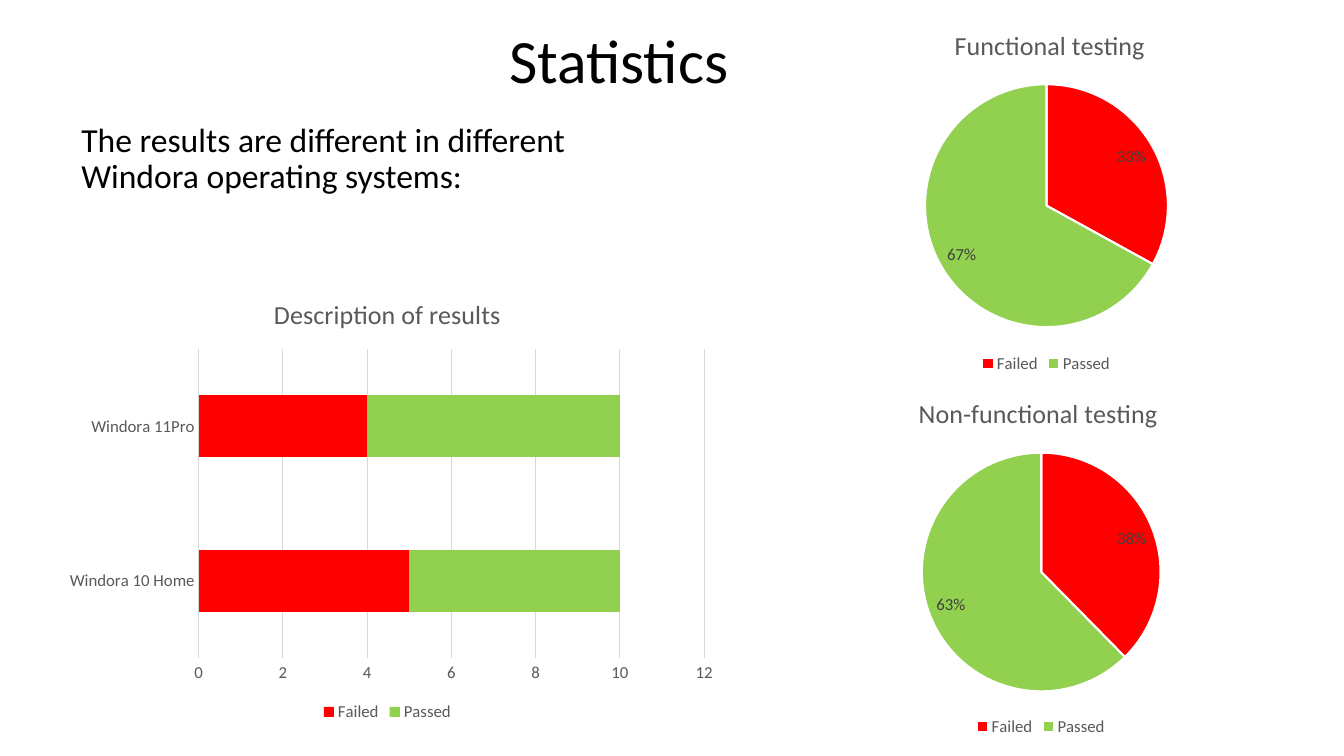
from lxml import etree
from pptx import Presentation
from pptx.chart.data import CategoryChartData
from pptx.dml.color import RGBColor
from pptx.enum.chart import XL_CHART_TYPE, XL_LABEL_POSITION, XL_LEGEND_POSITION, XL_TICK_MARK
from pptx.enum.text import MSO_ANCHOR, PP_ALIGN
from pptx.oxml.ns import qn
from pptx.util import Pt

BAR_STACKED, PIE = XL_CHART_TYPE.BAR_STACKED, XL_CHART_TYPE.PIE
LEGEND_BOTTOM = XL_LEGEND_POSITION.BOTTOM
INSIDE_END = XL_LABEL_POSITION.INSIDE_END
NO_TICK = XL_TICK_MARK.NONE
MIDDLE, BOTTOM = MSO_ANCHOR.MIDDLE, MSO_ANCHOR.BOTTOM
CENTER, LEFT = PP_ALIGN.CENTER, PP_ALIGN.LEFT

FONT = "Calibri"
BLACK, GREY, DARK_GREY, LIGHT_GREY, WHITE = "000000", "595959", "404040", "D9D9D9", "FFFFFF"
RESULT_COLORS = ["FF0000", "92D050"]
RESULTS = ["Failed", "Passed"]

# Boxes are left, top, width, height in points; layouts are shares of the chart
TEXTS = [
    ("Statistics ", (33, -26, 828, 142.5), 44, MIDDLE, CENTER, 7.2),
    ("The results are different in different Windora operating systems:",
     (51, 78.5, 452, 65), 24, BOTTOM, LEFT, 18),
]
SYSTEMS = ["Windora 10 Home", "Windora 11Pro"]
SYSTEM_RESULTS = {"Failed": [5, 4], "Passed": [5, 6]}
BAR_TITLE, BAR_BOX = "Description of results", (36, 198, 481.5, 320.5)
BAR_LAYOUT = {"x": 0.22, "y": 0.16, "w": 0.75, "h": 0.69}
PIES = [
    ("Functional testing", "Series 1", [33, 67], (544.5, 11, 406, 259),
     {"x": 0.33, "y": 0.02}, {"x": 0.28, "y": 0.19, "w": 0.44, "h": 0.67}),
    ("Non-functional testing ", "Non-functional testing ", [38, 63],
     (537, 270, 413.5, 259), None, None),
]


def color(hex_string):
    return RGBColor.from_string(hex_string)


def style_font(font, size, hex_string):
    font.name = FONT
    font.size = Pt(size)
    font.bold = False
    font.color.rgb = color(hex_string)


def style_line(line, hex_string, width):
    line.color.rgb = color(hex_string)
    line.width = Pt(width)


def fill_solid(fill, hex_string):
    fill.solid()
    fill.fore_color.rgb = color(hex_string)


def place(element, index, shares):
    """Give a chart part a manual layout as its child at the given index."""
    for old in element.findall(qn("c:layout")):
        element.remove(old)
    layout = etree.Element(qn("c:layout"))
    manual = etree.SubElement(layout, qn("c:manualLayout"))
    settings = {"xMode": "edge", "yMode": "edge", **shares}
    if "w" in shares:
        settings = {"layoutTarget": "inner", **settings}
    for name, value in settings.items():
        etree.SubElement(manual, qn("c:" + name)).set("val", str(value))
    element.insert(index, layout)


def add_text(slide, text, box, size, anchor, alignment, margin_right):
    text_frame = slide.shapes.add_textbox(*map(Pt, box)).text_frame
    text_frame.word_wrap = True
    text_frame.vertical_anchor = anchor
    text_frame.margin_right = Pt(margin_right)
    text_frame.text = text
    paragraph = text_frame.paragraphs[0]
    paragraph.alignment = alignment
    paragraph.line_spacing = 0.9
    style_font(paragraph.runs[0].font, size, BLACK)


def add_chart(slide, kind, title, categories, series, box, title_layout, plot_layout):
    """Add a chart with its title and bottom legend."""
    data = CategoryChartData()
    data.categories = categories
    for name, values in series.items():
        data.add_series(name, values)
    chart = slide.shapes.add_chart(kind, *map(Pt, box), data).chart
    style_font(chart.font, 10, BLACK)
    chart.has_title = True
    chart.chart_title.include_in_layout = False
    title_frame = chart.chart_title.text_frame
    title_frame.text = title
    style_font(title_frame.paragraphs[0].runs[0].font, 18.6, GREY)
    chart.has_legend = True
    chart.legend.position = LEGEND_BOTTOM
    chart.legend.include_in_layout = False
    style_font(chart.legend.font, 12, GREY)
    chart_element = chart.element.find(qn("c:chart")) if hasattr(chart, "element") else chart._chartSpace.chart
    if title_layout:
        place(chart_element.find(qn("c:title")), 1, title_layout)
    if plot_layout:
        place(chart_element.find(qn("c:plotArea")), 0, plot_layout)
    return chart


def add_result_bars(slide):
    chart = add_chart(slide, BAR_STACKED, BAR_TITLE, SYSTEMS, SYSTEM_RESULTS, BAR_BOX,
                      None, BAR_LAYOUT)
    plot = chart.plots[0]
    plot.gap_width = 150
    plot.overlap = 100
    plot.vary_by_categories = False
    for series, hex_string in zip(plot.series, RESULT_COLORS):
        fill_solid(series.format.fill, hex_string)
    for axis in (chart.category_axis, chart.value_axis):
        axis.major_tick_mark = axis.minor_tick_mark = NO_TICK
        style_font(axis.tick_labels.font, 12, GREY)
    style_line(chart.category_axis.format.line, LIGHT_GREY, 0.75)
    value_axis = chart.value_axis
    value_axis.minimum_scale, value_axis.maximum_scale, value_axis.major_unit = 0, 12, 2
    value_axis.format.line.fill.background()
    style_line(value_axis.major_gridlines.format.line, LIGHT_GREY, 0.75)


def add_result_pie(slide, title, series_name, values, box, title_layout, plot_layout):
    chart = add_chart(slide, PIE, title, RESULTS, {series_name: values}, box,
                      title_layout, plot_layout)
    plot = chart.plots[0]
    plot.vary_by_categories = True
    series = plot.series[0]
    for index, hex_string in enumerate(RESULT_COLORS):
        point_format = series.points[index].format
        fill_solid(point_format.fill, hex_string)
        style_line(point_format.line, WHITE, 1.5)
    labels = series.data_labels
    labels.show_value = True
    labels.show_percentage = False
    labels.number_format = '0"%"'
    labels.number_format_is_linked = False
    labels.position = INSIDE_END
    style_font(labels.font, 12, DARK_GREY)


def main():
    presentation = Presentation()
    presentation.slide_width, presentation.slide_height = Pt(960), Pt(540)
    slide = presentation.slides.add_slide(presentation.slide_layouts[6])
    for text in TEXTS:
        add_text(slide, *text)
    add_result_bars(slide)
    for pie in PIES:
        add_result_pie(slide, *pie)
    presentation.save("out.pptx")


if __name__ == "__main__":
    main()
